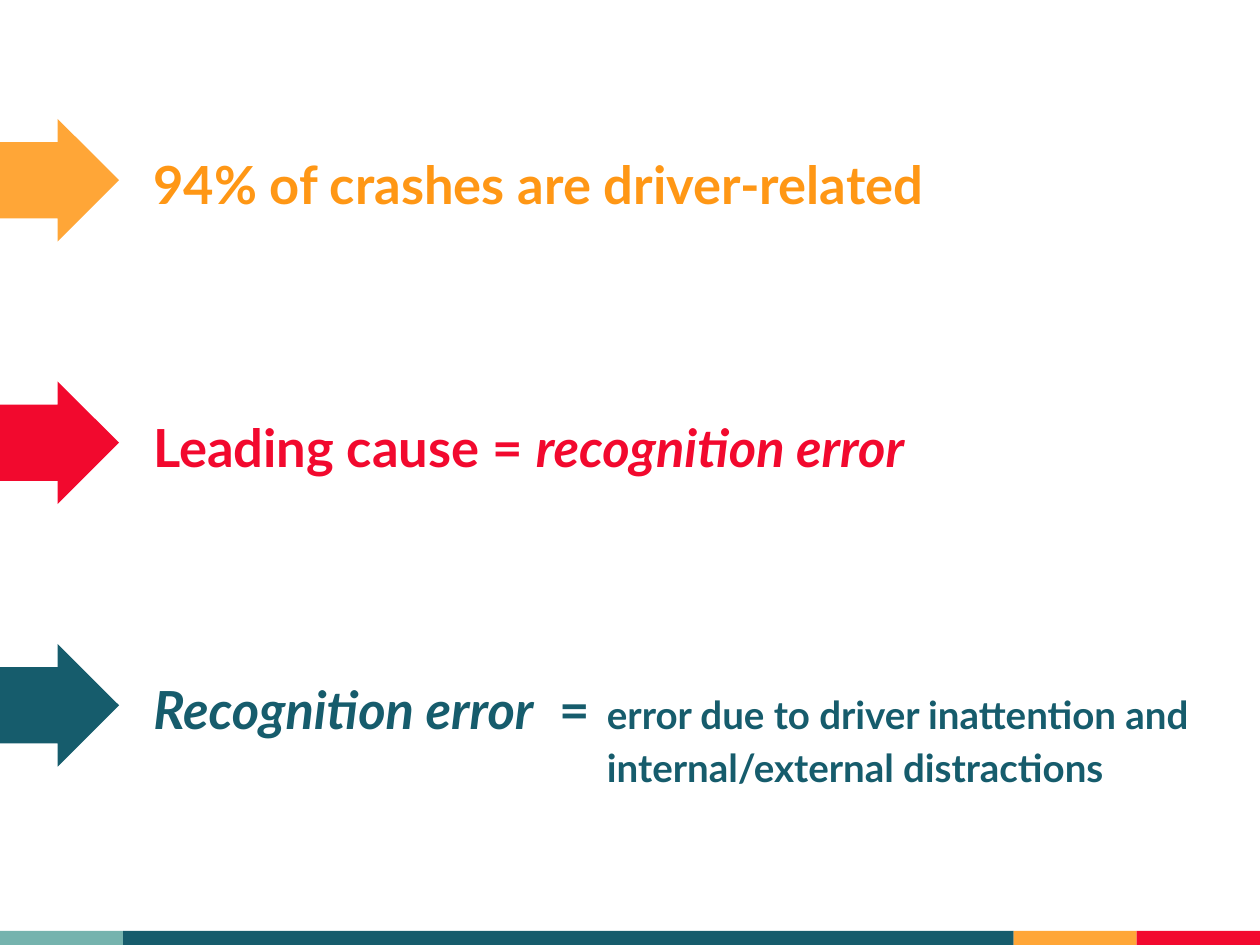
from dataclasses import dataclass

import pptx
import pptx.dml.color
import pptx.enum.shapes
import pptx.enum.text
import pptx.oxml
import pptx.oxml.ns
import pptx.util

Pt = pptx.util.Pt
RGBColor = pptx.dml.color.RGBColor
MSO_SHAPE = pptx.enum.shapes.MSO_SHAPE
MSO_ANCHOR = pptx.enum.text.MSO_ANCHOR

ORANGE = RGBColor(0xFF, 0x97, 0x15)
RED = RGBColor(0xF2, 0x09, 0x2E)
TEAL = RGBColor(0x16, 0x5C, 0x6C)
MINT = RGBColor(0x75, 0xB3, 0xAE)
WHITE = RGBColor(0xFF, 0xFF, 0xFF)

FONT = "Lato"
SLIDE_W, SLIDE_H = 720, 540
BAR_H, BAR_END_W = 8, 70.4
ROW_PITCH = 150
ARROW_TOP, TITLE_TOP = 67.9, 35.9
INSET = 7.2


@dataclass
class Run:
    text: str
    italic: bool = False


@dataclass
class Point:
    color: RGBColor
    width: float
    runs: list[Run]
    alpha: int = 100


@dataclass
class Bar:
    color: RGBColor
    width: float
    alpha: int = 100


POINTS = [
    Point(ORANGE, 592, [Run("94% of crashes are driver-related")], 85),
    Point(RED, 777.6, [Run("Leading cause = "), Run("recognition error", True)]),
    Point(TEAL, 664, [Run("Recognition error", True), Run("  =")]),
]
BARS = [
    Bar(MINT, BAR_END_W),
    Bar(TEAL, SLIDE_W - 3 * BAR_END_W),
    Bar(ORANGE, BAR_END_W, 85),
    Bar(RED, BAR_END_W),
]


def add_filled(s, kind, left: float, top: float, width: float, height: float,
               color: RGBColor, alpha: int):
    sp = s.shapes.add_shape(kind, Pt(left), Pt(top), Pt(width), Pt(height))
    sp.shadow.inherit = False
    sp.line.fill.background()
    sp.fill.solid()
    sp.fill.fore_color.rgb = color
    if alpha < 100:
        clr = sp.fill._xPr.find(".//" + pptx.oxml.ns.qn("a:srgbClr"))
        clr.append(pptx.oxml.parse_xml(
            f'<a:alpha {pptx.oxml.ns.nsdecls("a")} val="{alpha * 1000}"/>'))
    return sp


def add_text(s, left: float, top: float, width: float, height: float,
             runs: list[Run], size: float, color: RGBColor, anchor):
    sp = s.shapes.add_textbox(Pt(left), Pt(top), Pt(width), Pt(height))
    tf = sp.text_frame
    tf.word_wrap = True
    tf.vertical_anchor = anchor
    tf.margin_left = tf.margin_right = Pt(INSET)
    tf.margin_top = tf.margin_bottom = Pt(INSET)
    p = tf.paragraphs[0]
    for run in runs:
        r = p.add_run()
        r.text = run.text
        r.font.name = FONT
        r.font.size = Pt(size)
        r.font.bold = True
        r.font.italic = run.italic
        r.font.color.rgb = color
    return p


def main() -> None:
    prs = pptx.Presentation()
    prs.slide_width, prs.slide_height = Pt(SLIDE_W), Pt(SLIDE_H)
    s = prs.slides.add_slide(prs.slide_layouts[6])
    s.background.fill.solid()
    s.background.fill.fore_color.rgb = WHITE

    left = 0
    for bar in BARS:
        add_filled(s, MSO_SHAPE.RECTANGLE, left, SLIDE_H - BAR_H,
                   bar.width, BAR_H, bar.color, bar.alpha)
        left += bar.width

    for i, point in enumerate(POINTS):
        offset = i * ROW_PITCH
        add_text(s, 80.6, TITLE_TOP + offset, point.width, 94.4,
                 point.runs, 30, point.color, MSO_ANCHOR.BOTTOM)
        arrow = add_filled(s, MSO_SHAPE.RIGHT_ARROW, -6, ARROW_TOP + offset,
                           74, 70.2, point.color, point.alpha)
        arrow.adjustments[0] = 0.62
        arrow.adjustments[1] = 0.5

    definition = "error due to driver inattention and internal/external distractions"
    p = add_text(s, 339.8, 303.1, 398.2, 236.2, [Run(definition)],
                 22, TEAL, MSO_ANCHOR.MIDDLE)
    p.line_spacing = 1.15

    prs.save("out.pptx")


if __name__ == "__main__":
    main()
